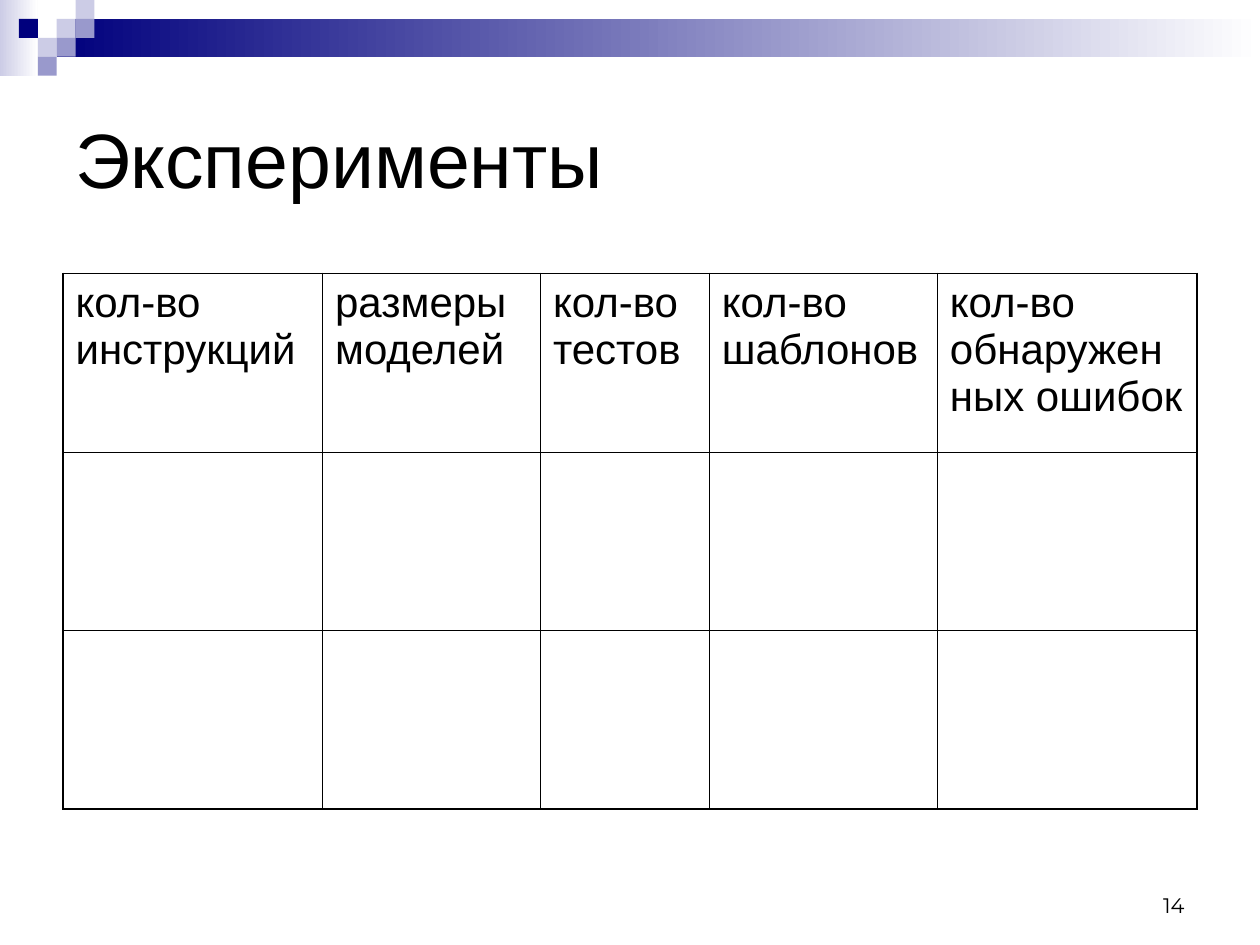
from lxml.etree import SubElement
from pptx import Presentation
from pptx.dml.color import RGBColor
from pptx.enum.shapes import MSO_SHAPE
from pptx.enum.text import MSO_ANCHOR, PP_ALIGN
from pptx.oxml.ns import qn
from pptx.util import Inches, Pt

COLORS = {"navy": "00007D", "violet": "9999CC", "lilac": "CCCCE6",
          "white": "FFFFFF", "black": "000000"}
HEADERS = ["кол-во инструкций", "размеры моделей", "кол-во тестов",
           "кол-во шаблонов", "кол-во обнаруженных ошибок"]
COLUMN_SHARES = [2.06, 1.73, 1.34, 1.81, 2.06]
ROW_COUNT = 3
OUTER_LINE, INNER_LINE = 1.08, 0.45
SQUARES = [(3, 1, "lilac"), (4, 0, "lilac"), (4, 1, "violet"), (2, 2, "lilac"),
           (1, 1, "navy"), (3, 2, "violet"), (2, 3, "violet")]


def color(name):
    return RGBColor.from_string(COLORS[name])


def format_text(paragraph, size, font_name, alignment=PP_ALIGN.LEFT):
    paragraph.alignment = alignment
    for run in paragraph.runs:
        run.font.size = Pt(size)
        run.font.name = font_name
        run.font.color.rgb = color("black")


def add_block(slide, box, *names):
    shape = slide.shapes.add_shape(MSO_SHAPE.RECTANGLE, *map(Inches, box))
    shape.shadow.inherit = False
    shape.line.fill.background()
    if len(names) == 1:
        shape.fill.solid()
        shape.fill.fore_color.rgb = color(names[0])
        return
    shape.fill.gradient()
    shape.fill.gradient_angle = 0
    for stop, name in zip(shape.fill.gradient_stops, names):
        stop.color.rgb = color(name)


def add_banner(slide, box):
    left, top, width, height = box
    unit = height / 4
    add_block(slide, (left, top, 2 * unit, height), "lilac", "white")
    add_block(slide, (left + 3 * unit, top + unit, width - 3 * unit, 2 * unit), "navy", "white")
    for column, row, name in SQUARES:
        add_block(slide, (left + column * unit, top + row * unit, unit, unit), name)


def add_title(slide, box):
    title = slide.shapes.title
    title.left, title.top, title.width, title.height = map(Inches, box)
    text_frame = title.text_frame
    text_frame.text = "Эксперименты"
    text_frame.vertical_anchor = MSO_ANCHOR.MIDDLE
    format_text(text_frame.paragraphs[0], 44, "Arial")


def set_borders(cell, widths):
    properties = cell._tc.get_or_add_tcPr()
    for side, width in widths.items():
        line = SubElement(properties, qn(f"a:ln{side}"), w=str(Pt(width)))
        fill = SubElement(line, qn("a:solidFill"))
        SubElement(fill, qn("a:srgbClr"), val=COLORS["black"])


def add_results_table(slide, box):
    left, top, width, height = map(Inches, box)
    last_row, last_column = ROW_COUNT - 1, len(HEADERS) - 1
    table = slide.shapes.add_table(ROW_COUNT, len(HEADERS), left, top, width, height).table
    table.first_row = table.horz_banding = False
    for column, share in zip(table.columns, COLUMN_SHARES):
        column.width = int(width * share / sum(COLUMN_SHARES))
    for row_index, row in enumerate(table.rows):
        for column_index, cell in enumerate(row.cells):
            edges = {"L": column_index == 0, "R": column_index == last_column,
                     "T": row_index == 0, "B": row_index == last_row}
            set_borders(cell, {side: OUTER_LINE if outer else INNER_LINE
                               for side, outer in edges.items()})
            cell.fill.background()
    for cell, header in zip(table.rows[0].cells, HEADERS):
        cell.text_frame.text = header
        format_text(cell.text_frame.paragraphs[0], 24, "Arial")


def add_page_number(slide, box):
    text_frame = slide.shapes.add_textbox(*map(Inches, box)).text_frame
    text_frame.word_wrap = True
    text_frame.vertical_anchor = MSO_ANCHOR.BOTTOM
    text_frame.text = "14"
    format_text(text_frame.paragraphs[0], 12, "Montserrat", PP_ALIGN.RIGHT)


def main():
    presentation = Presentation()
    presentation.slide_width, presentation.slide_height = Inches(10), Inches(7.5)
    slide = presentation.slides.add_slide(presentation.slide_layouts[5])
    add_banner(slide, (0, 0, 10, 0.6))
    add_title(slide, (0.5, 0.5, 9, 1.5))
    add_results_table(slide, (0.5, 2.17, 9, 4.25))
    add_page_number(slide, (7.17, 6.83, 2.33, 0.5))
    presentation.save("out.pptx")


if __name__ == "__main__":
    main()
